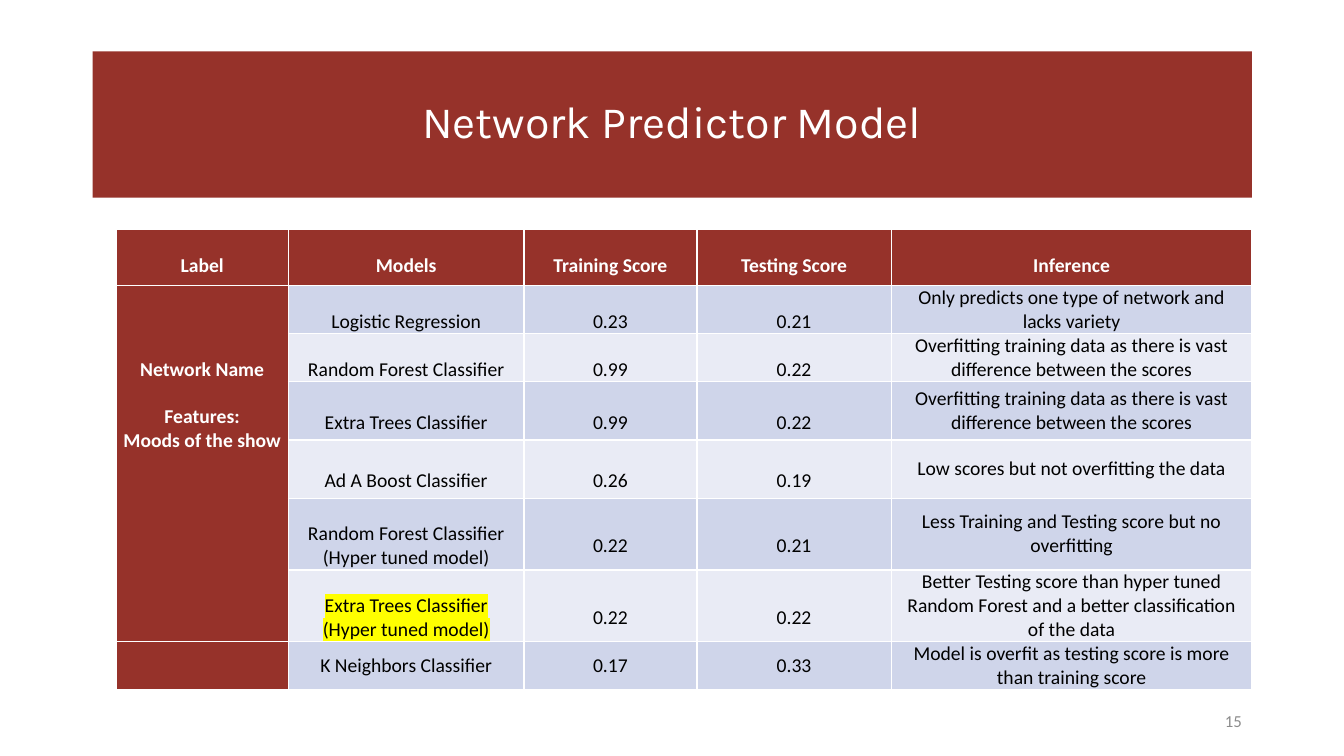
from lxml.etree import Element
from pptx import Presentation
from pptx.dml.color import RGBColor
from pptx.enum.text import MSO_ANCHOR, PP_ALIGN
from pptx.oxml.ns import qn
from pptx.util import Pt

COLORS = {
    "brick": "96322A",
    "white": "FFFFFF",
    "black": "000000",
    "gray": "8C8C8C",
    "band_dark": "CFD5EA",
    "band_light": "E9EBF5",
    "marker": "FFFF00",
}
LINE = 17.1  # height of one line of table text
HEADERS = ["Label", "Models", "Training Score", "Testing Score", "Inference"]
LABEL = ["Network Name", "Features:", "Moods of the show"]
OVERFIT = "Overfitting training data as there is vast difference between the scores"
MODELS = [
    ("Logistic Regression", "0.23", "0.21",
     "Only predicts one type of network and lacks variety"),
    ("Random Forest Classifier", "0.99", "0.22", OVERFIT),
    ("Extra Trees Classifier", "0.99", "0.22", OVERFIT),
    ("Ad A Boost Classifier", "0.26", "0.19",
     "Low scores but not overfitting the data"),
    ("Random Forest Classifier (Hyper tuned model)", "0.22", "0.21",
     "Less Training and Testing score but no overfitting"),
    ("Extra Trees Classifier (Hyper tuned model)", "0.22", "0.22",
     "Better Testing score than hyper tuned Random Forest "
     "and a better classification of the data"),
    ("K Neighbors Classifier", "0.17", "0.33",
     "Model is overfit as testing score is more than training score"),
]
BEST_MODEL = 6
COL_WIDTHS = [123.3, 168.2, 123.6, 138.7, 257.8]
ROW_HEIGHTS = [40, 34, 34, 42, 41.5, 51.3, 51.3, 34]


def rgb(name):
    return RGBColor.from_string(COLORS[name])


def write(p, text, align, color, **font):
    p.alignment = align
    r = p.add_run()
    r.text = text
    for name, value in font.items():
        setattr(r.font, name, value)
    r.font.color.rgb = rgb(color)
    return r


def highlight(r):
    mark = Element(qn("a:highlight"))
    mark.append(Element(qn("a:srgbClr"), val=COLORS["marker"]))
    r.font._element.find(qn("a:solidFill")).addnext(mark)


def fill_cell(cell, lines, fill, color="black", bold=False, drop=0,
              anchor=MSO_ANCHOR.MIDDLE):
    """Format a cell; drop is the number of text lines left free on top."""
    layout = {"margin_left": Pt(5), "margin_right": Pt(5),
              "margin_top": Pt(drop * LINE), "margin_bottom": Pt(0),
              "vertical_anchor": anchor}
    for name, value in layout.items():
        setattr(cell, name, value)
    cell.fill.solid()
    cell.fill.fore_color.rgb = rgb(fill)
    tf = cell.text_frame
    for i, line in enumerate(lines):
        p = tf.add_paragraph() if i else tf.paragraphs[0]
        write(p, line, PP_ALIGN.CENTER, color,
              name="Calibri", size=Pt(14), bold=bold)
    return tf


def add_title(s, text):
    sp = s.shapes.title
    box = {"left": 66.2, "top": 36.7, "width": 828, "height": 104.4}
    for name, value in box.items():
        setattr(sp, name, Pt(value))
    sp.fill.solid()
    sp.fill.fore_color.rgb = rgb("brick")
    sp.text_frame.vertical_anchor = MSO_ANCHOR.MIDDLE
    p = sp.text_frame.paragraphs[0]
    p.line_spacing = 0.9
    write(p, text, PP_ALIGN.CENTER, "white", name="Karla", size=Pt(32))


def add_score_table(s):
    table = s.shapes.add_table(
        len(ROW_HEIGHTS), len(COL_WIDTHS), Pt(82.8), Pt(164),
        Pt(sum(COL_WIDTHS)), Pt(sum(ROW_HEIGHTS))).table
    for col, width in zip(table.columns, COL_WIDTHS):
        col.width = Pt(width)
    for row, height in zip(table.rows, ROW_HEIGHTS):
        row.height = Pt(height)

    head = {"fill": "brick", "color": "white", "bold": True,
            "anchor": MSO_ANCHOR.TOP}
    for c, text in enumerate(HEADERS):
        fill_cell(table.cell(0, c), [text], drop=1, **head)

    last = len(MODELS)
    label = table.cell(1, 0)
    label.merge(table.cell(last - 1, 0))
    tf = fill_cell(label, LABEL, drop=3, **head)
    tf.paragraphs[1].space_before = Pt(LINE)
    fill_cell(table.cell(last, 0), [], **head)

    for r, model in enumerate(MODELS, 1):
        band = "band_dark" if r % 2 else "band_light"
        for c, text in enumerate(model, 1):
            drop = int(r < last and c < len(model))
            fill_cell(table.cell(r, c), [text], band, drop=drop)
    best = table.cell(BEST_MODEL, 1).text_frame
    highlight(best.paragraphs[0].runs[0])


def add_page_number(s, text):
    tf = s.shapes.add_textbox(Pt(678.2), Pt(500.5), Pt(216), Pt(28.8)).text_frame
    tf.word_wrap = True
    tf.vertical_anchor = MSO_ANCHOR.MIDDLE
    write(tf.paragraphs[0], text, PP_ALIGN.RIGHT, "gray",
          name="Calibri", size=Pt(12))


def main():
    prs = Presentation()
    prs.slide_width, prs.slide_height = Pt(960), Pt(540)
    s = prs.slides.add_slide(prs.slide_layouts[5])
    add_title(s, "Network Predictor Model")
    add_score_table(s)
    add_page_number(s, "15")
    prs.save("out.pptx")


if __name__ == "__main__":
    main()
